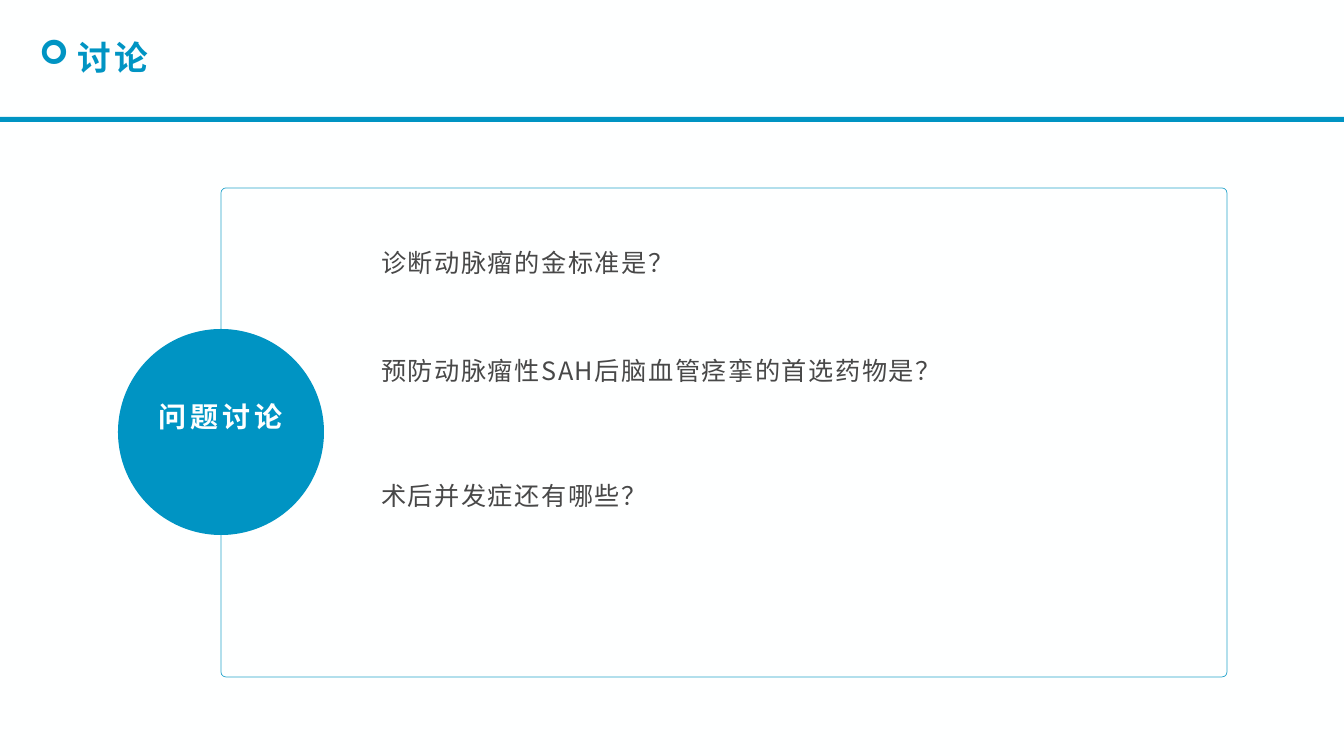
import pptx
import pptx.dml.color
import pptx.enum.shapes
import pptx.enum.text
import pptx.oxml.ns
import pptx.util
from lxml import etree

PX = 914400 / 100.8
SHAPES = pptx.enum.shapes.MSO_SHAPE
ALIGN = pptx.enum.text.PP_ALIGN
ANCHOR = pptx.enum.text.MSO_ANCHOR


class Theme:
    font = "Noto Sans CJK SC"
    paper = pptx.dml.color.RGBColor.from_string("FEFFFF")
    accent = pptx.dml.color.RGBColor.from_string("0094C3")
    ink = pptx.dml.color.RGBColor.from_string("484848")
    # tracking is in hundredths of a point
    title = {"size": 24, "bold": True, "color": accent, "tracking": 300}
    label = {"size": 20, "bold": True, "color": paper, "tracking": 300}
    question = {"size": 18, "bold": False, "color": ink, "tracking": 110}


# Each question with the space before it, in points
QUESTIONS = [
    ("诊断动脉瘤的金标准是？", 0),
    ("预防动脉瘤性SAH后脑血管痉挛的首选药物是？", 49.5),
    ("术后并发症还有哪些？", 61),
]


def emu(px):
    return pptx.util.Emu(round(px * PX))


def add_element(parent, tag, **attributes):
    return etree.SubElement(parent, pptx.oxml.ns.qn(tag), attributes)


def place(holder, left, top, width, height):
    box = {"left": left, "top": top, "width": width, "height": height}
    for side, px in box.items():
        setattr(holder, side, emu(px))


def format_frame(frame, anchor):
    settings = {
        "word_wrap": True,
        "auto_size": pptx.enum.text.MSO_AUTO_SIZE.NONE,
        "vertical_anchor": anchor,
    }
    for name, value in settings.items():
        setattr(frame, name, value)


def write(paragraph, text, style, bullet=None, hanging=0, **layout):
    """Fill a paragraph with one styled run."""
    for name, value in layout.items():
        setattr(paragraph, name, value)
    properties = paragraph._p.get_or_add_pPr()
    properties.set("marL", str(emu(hanging)))
    properties.set("indent", str(-emu(hanging)))
    if bullet:
        add_element(properties, "a:buFont", typeface="Wingdings")
        add_element(properties, "a:buChar", char=bullet)
    else:
        add_element(properties, "a:buNone")

    run = paragraph.add_run()
    run.text = text
    font = {
        "name": Theme.font,
        "size": pptx.util.Pt(style["size"]),
        "bold": style["bold"],
    }
    for name, value in font.items():
        setattr(run.font, name, value)
    run.font.color.rgb = style["color"]
    run_properties = run._r.get_or_add_rPr()
    run_properties.set("spc", str(style["tracking"]))
    add_element(run_properties, "a:ea", typeface=Theme.font)


def add_solid(slide, kind, *box):
    solid = slide.shapes.add_shape(kind, *map(emu, box))
    solid.shadow.inherit = False
    solid.fill.solid()
    solid.fill.fore_color.rgb = Theme.accent
    solid.line.fill.background()


def add_outline(slide, *box):
    card = slide.shapes.add_shape(SHAPES.ROUNDED_RECTANGLE, *map(emu, box))
    card.shadow.inherit = False
    card.adjustments[0] = 0.01
    card.fill.background()
    card.line.color.rgb = Theme.accent
    card.line.width = pptx.util.Pt(0.5)
    color = card.line._ln.find(".//" + pptx.oxml.ns.qn("a:srgbClr"))
    add_element(color, "a:alpha", val="84000")


def add_label(slide, text, *box):
    label = slide.shapes.add_textbox(*map(emu, box))
    format_frame(label.text_frame, ANCHOR.MIDDLE)
    write(label.text_frame.paragraphs[0], text, Theme.label,
          alignment=ALIGN.CENTER, line_spacing=1.1)


def fill_title(title, text):
    place(title, 29, 32, 382, 50)
    format_frame(title.text_frame, ANCHOR.MIDDLE)
    write(title.text_frame.paragraphs[0], text, Theme.title,
          bullet="➢", hanging=38, alignment=ALIGN.LEFT)


def fill_questions(body):
    place(body, 371, 233, 824, 310)
    frame = body.text_frame
    format_frame(frame, ANCHOR.TOP)
    for number, (question, gap) in enumerate(QUESTIONS):
        paragraph = frame.add_paragraph() if number else frame.paragraphs[0]
        write(paragraph, question, Theme.question, line_spacing=1.3,
              space_before=pptx.util.Pt(gap), alignment=ALIGN.LEFT)


def main():
    deck = pptx.Presentation()
    deck.slide_width, deck.slide_height = emu(1344), emu(756)
    slide = deck.slides.add_slide(deck.slide_layouts[1])
    slide.background.fill.solid()
    slide.background.fill.fore_color.rgb = Theme.paper

    # Header
    fill_title(slide.shapes.title, "讨论")
    add_solid(slide, SHAPES.RECTANGLE, 0, 117, 1344, 5)

    # Question card
    add_outline(slide, 221, 188, 1006, 489)
    fill_questions(slide.placeholders[1])

    # Topic badge
    add_solid(slide, SHAPES.OVAL, 118, 329, 206, 206)
    add_label(slide, "问题讨论", 141, 391, 159, 47)

    deck.save("out.pptx")


if __name__ == "__main__":
    main()
